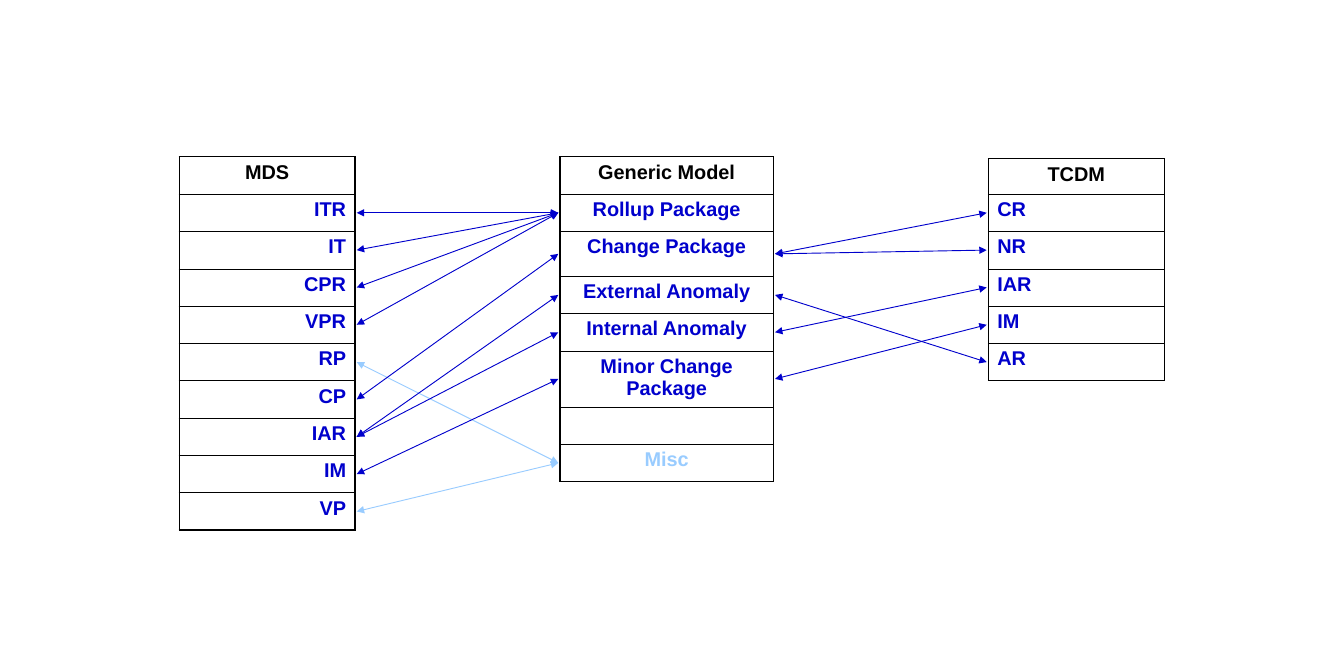
from lxml.etree import SubElement
from pptx import Presentation
from pptx.dml.color import RGBColor
from pptx.enum.shapes import MSO_CONNECTOR
from pptx.enum.text import PP_ALIGN
from pptx.oxml import parse_xml
from pptx.oxml.ns import nsdecls, qn
from pptx.util import Inches, Pt

COLORS = {"black": "000000", "white": "FFFFFF", "main": "0000CC", "misc": "99CCFF"}
SLIDE_WIDTH, SLIDE_HEIGHT = Inches(15), Inches(7.5)
COLUMN = SLIDE_WIDTH / 24
ROW = SLIDE_HEIGHT / 18
LINK_GAP = 0.03 * COLUMN
OUTER_BORDER, INNER_BORDER = Pt(1.08), Pt(0.45)

MDS_ITEMS = ["ITR", "IT", "CPR", "VPR", "RP", "CP", "IAR", "IM", "VP"]
GENERIC_ITEMS = ["Rollup Package", "Change Package", "External Anomaly",
                 "Internal Anomaly", "Minor Change Package", "", "Misc"]
TCDM_ITEMS = ["CR", "NR", "IAR", "IM", "AR"]

MDS_LINKS = [
    ("ITR", "Rollup Package"), ("IT", "Rollup Package"),
    ("CPR", "Rollup Package"), ("VPR", "Rollup Package"),
    ("RP", "Misc"), ("CP", "Change Package"),
    ("IAR", "Internal Anomaly"), ("IAR", "External Anomaly"),
    ("IM", "Minor Change Package"), ("VP", "Misc"),
]
TCDM_LINKS = [
    ("CR", "Change Package"), ("NR", "Change Package"),
    ("IAR", "Internal Anomaly"), ("AR", "External Anomaly"),
    ("IM", "Minor Change Package"),
]


def rgb(name):
    return RGBColor.from_string(COLORS[name])


def write_text(text_frame, text, color="main", align=PP_ALIGN.CENTER, size=16, bold=True):
    paragraph = text_frame.paragraphs[0]
    paragraph.alignment = align
    paragraph.font.size = Pt(size)
    if text:
        run = paragraph.add_run()
        run.text = text
        run.font.name = "Arial"
        run.font.size = Pt(size)
        run.font.bold = bold
        run.font.color.rgb = rgb(color)


def set_borders(cell, top, bottom):
    properties = cell._tc.get_or_add_tcPr()
    widths = {"lnL": OUTER_BORDER, "lnR": OUTER_BORDER, "lnT": top, "lnB": bottom}
    for position, (tag, width) in enumerate(widths.items()):
        border = parse_xml(
            f'<a:{tag} {nsdecls("a")} w="{int(width)}"><a:solidFill>'
            f'<a:srgbClr val="{COLORS["black"]}"/></a:solidFill></a:{tag}>')
        properties.insert(position, border)


def add_model_table(slide, box, title, items, align, heights):
    """Draw a one-column table in box (left, top, width in grid units).

    Return its left and right edges and the middle of each item's row.
    """
    left, top, width = box[0] * COLUMN, box[1] * ROW, box[2] * COLUMN
    labels = [title, *items]
    table = slide.shapes.add_table(
        len(labels), 1, int(left), int(top), int(width), int(sum(heights) * ROW)).table
    table.first_row = False
    table.horz_banding = False
    middles = {}
    for index, (label, height) in enumerate(zip(labels, heights)):
        table.rows[index].height = int(height * ROW)
        middles[label] = top + (sum(heights[:index]) + height / 2) * ROW
        cell = table.cell(index, 0)
        cell.fill.solid()
        cell.fill.fore_color.rgb = rgb("white")
        set_borders(cell,
                    OUTER_BORDER if index == 0 else INNER_BORDER,
                    OUTER_BORDER if index == len(items) else INNER_BORDER)
        if index == 0:
            write_text(cell.text_frame, label, color="black")
        else:
            write_text(cell.text_frame, label, align=align,
                       color="misc" if label == "Misc" else "main")
    return left, left + width, middles


def add_link(slide, start, end, color):
    connector = slide.shapes.add_connector(
        MSO_CONNECTOR.STRAIGHT, *(int(value) for value in (*start, *end)))
    connector.line.color.rgb = rgb(color)
    connector.line.width = Pt(0.75)
    line = connector.line._get_or_add_ln()
    for tag in ("a:headEnd", "a:tailEnd"):
        SubElement(line, qn(tag), type="triangle")
    SubElement(connector._element.spPr, qn("a:effectLst"))


def add_links(slide, links, start_x, start_rows, end_x, end_rows):
    gap = LINK_GAP if end_x > start_x else -LINK_GAP
    for source, target in links:
        add_link(slide, (start_x + gap, start_rows[source]),
                 (end_x - gap, end_rows[target]),
                 "misc" if target == "Misc" else "main")


def add_mapping(slide):
    _, mds_right, mds_rows = add_model_table(
        slide, (3.2, 4.2, 3.14), "MDS", MDS_ITEMS, PP_ALIGN.RIGHT, [1] * 10)
    tcdm_left, _, tcdm_rows = add_model_table(
        slide, (17.65, 4.25, 3.14), "TCDM", TCDM_ITEMS, PP_ALIGN.LEFT, [0.95] + [1] * 5)
    generic_left, generic_right, generic_rows = add_model_table(
        slide, (10, 4.2, 3.81), "Generic Model", GENERIC_ITEMS, PP_ALIGN.CENTER,
        [1, 1, 1.2, 1, 1, 1.5, 1, 1])
    add_links(slide, MDS_LINKS, mds_right, mds_rows, generic_left, generic_rows)
    add_links(slide, TCDM_LINKS, tcdm_left, tcdm_rows, generic_right, generic_rows)


def main():
    presentation = Presentation()
    presentation.slide_width = SLIDE_WIDTH
    presentation.slide_height = SLIDE_HEIGHT
    slide = presentation.slides.add_slide(presentation.slide_layouts[6])
    add_mapping(slide)
    presentation.save("out.pptx")


if __name__ == "__main__":
    main()
